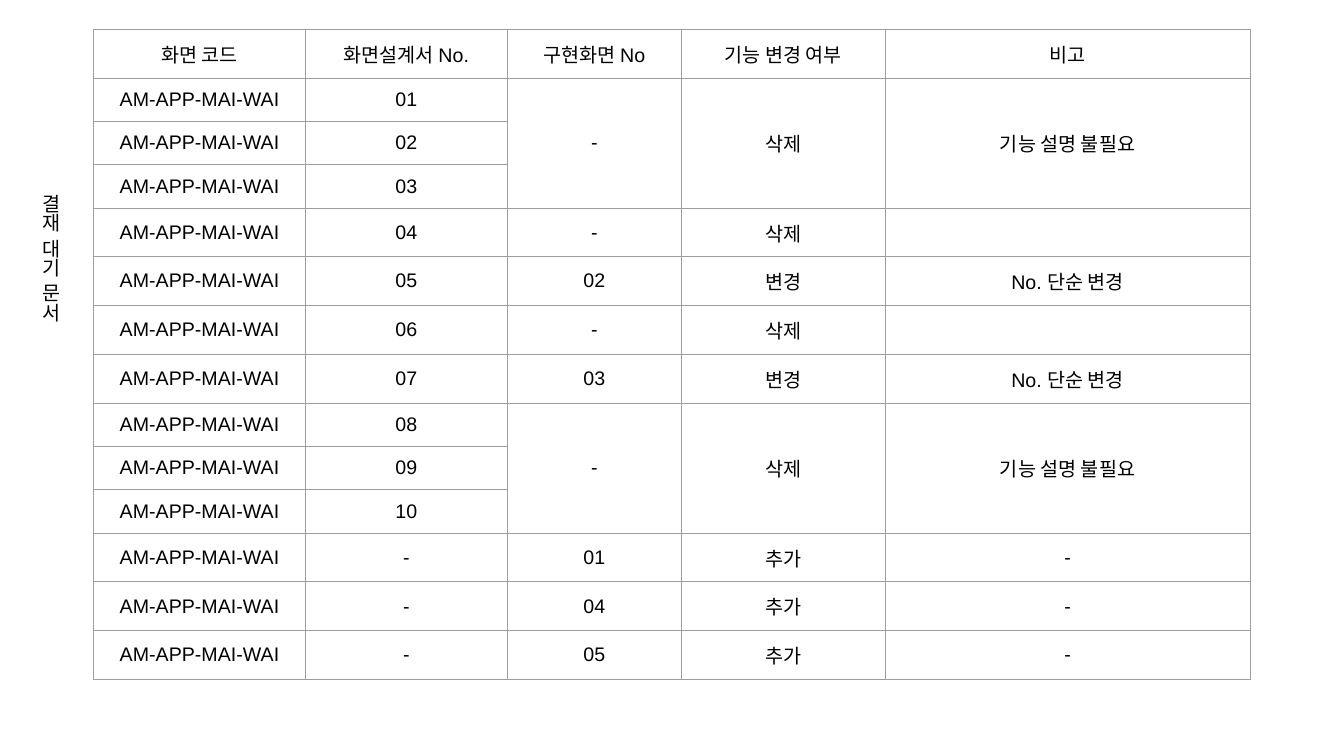
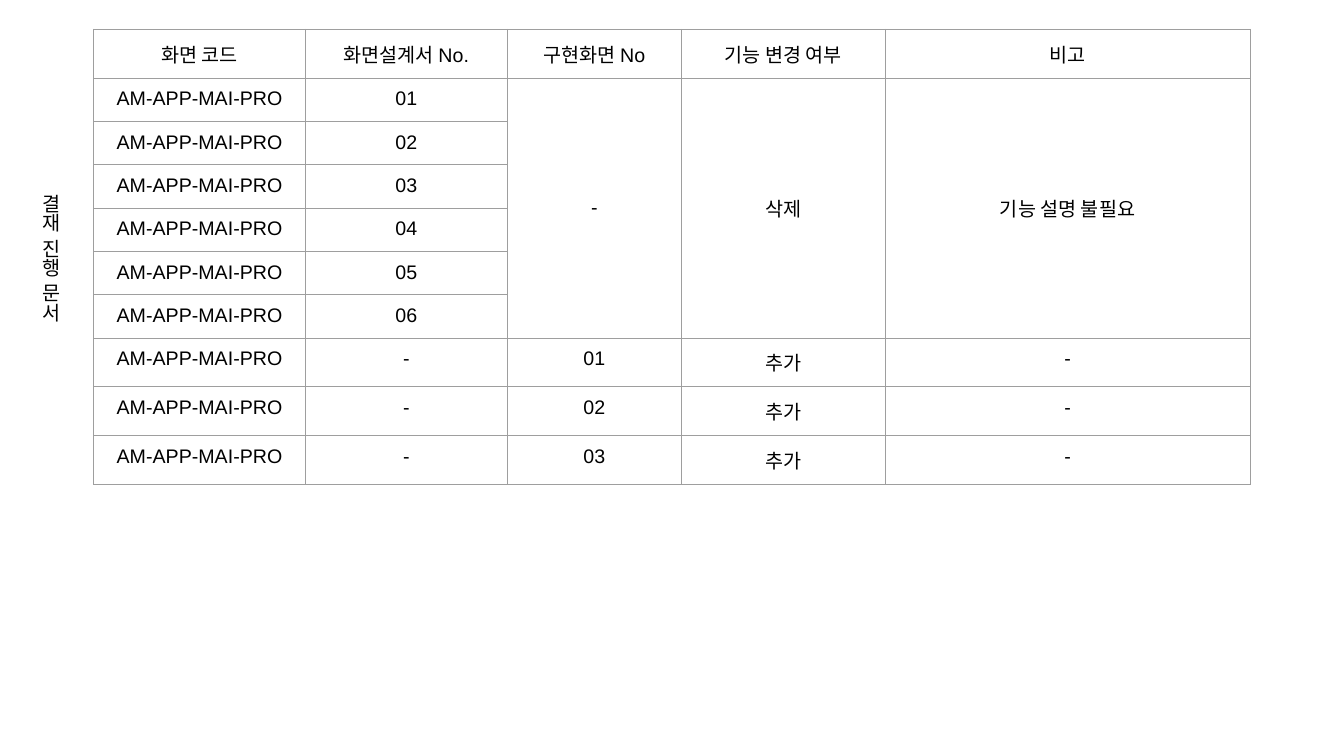
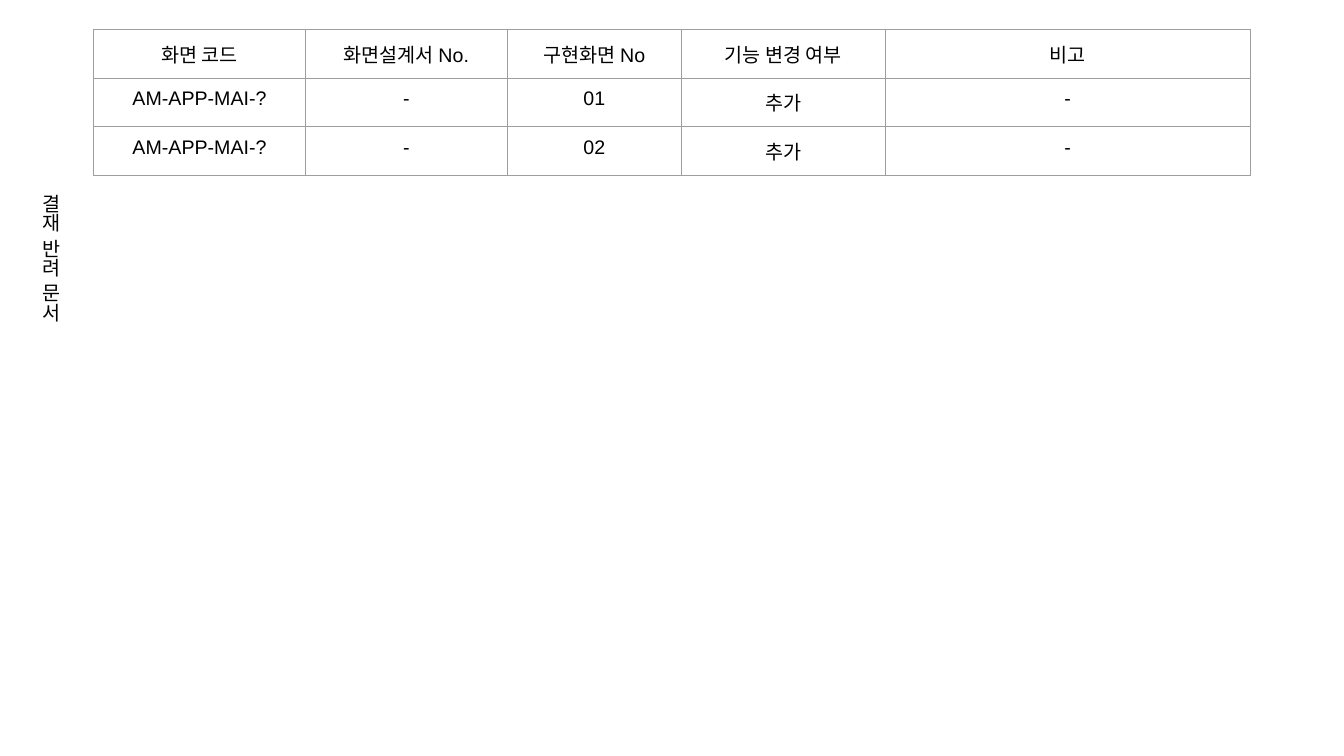
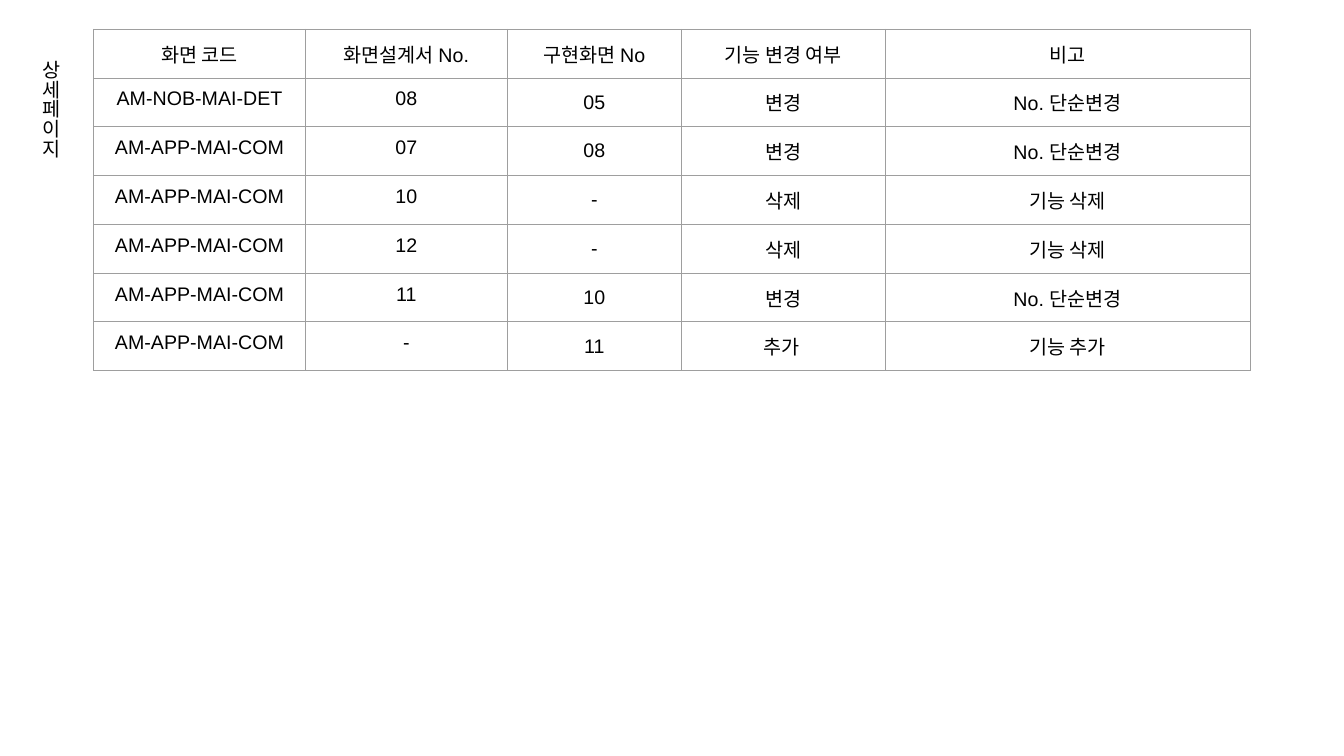
from dataclasses import dataclass

from lxml import etree
from pptx import Presentation
from pptx.dml.color import RGBColor
from pptx.enum.text import MSO_ANCHOR, MSO_AUTO_SIZE, PP_ALIGN
from pptx.oxml.ns import qn
from pptx.util import Inches, Pt

TOP, MIDDLE = MSO_ANCHOR.TOP, MSO_ANCHOR.MIDDLE
LEFT, CENTER = PP_ALIGN.LEFT, PP_ALIGN.CENTER
GROW = MSO_AUTO_SIZE.SHAPE_TO_FIT_TEXT
TITLE_ONLY = 5


@dataclass(frozen=True)
class Theme:
    font: str = "Arial"
    size: int = 14
    text: str = "000000"
    background: str = "FFFFFF"
    border: str = "9E9E9E"
    border_width: float = 0.75


THEME = Theme()

HEADERS = ("화면 코드", "화면설계서 No.", "구현화면 No", "기능 변경 여부", "비고")
COLUMN_WIDTHS = (2.1, 2, 1.73, 2.02, 3.62)
ROW_HEIGHT, MERGED_ROW_HEIGHT = 0.48, 0.43
TABLE_LEFT, TABLE_TOP = 0.93, 0.29
CELL_MARGIN = 0.1
TITLE_BOX = (0.23, 0.55, 0.44, 1.58)
TITLE_MARGIN = 0.05

WAITING, PROGRESS = "AM-APP-MAI-WAI", "AM-APP-MAI-PRO"
REJECTED, COMPLETE = "AM-APP-MAI-?", "AM-APP-MAI-COM"

PAGES = [
    {
        "title": "결재 대기 문서",
        "middle_from": (0, 0),
        "entries": [
            (WAITING, ["01", "02", "03"], "-", "삭제", "기능 설명 불필요"),
            (WAITING, ["04"], "-", "삭제", ""),
            (WAITING, ["05"], "02", "변경", "No. 단순 변경"),
            (WAITING, ["06"], "-", "삭제", ""),
            (WAITING, ["07"], "03", "변경", "No. 단순 변경"),
            (WAITING, ["08", "09", "10"], "-", "삭제", "기능 설명 불필요"),
            (WAITING, ["-"], "01", "추가", "-"),
            (WAITING, ["-"], "04", "추가", "-"),
            (WAITING, ["-"], "05", "추가", "-"),
        ],
    },
    {
        "title": "결재 진행 문서",
        "middle_from": None,
        "entries": [
            (PROGRESS, ["01", "02", "03", "04", "05", "06"], "-", "삭제", "기능 설명 불필요"),
            (PROGRESS, ["-"], "01", "추가", "-"),
            (PROGRESS, ["-"], "02", "추가", "-"),
            (PROGRESS, ["-"], "03", "추가", "-"),
        ],
    },
    {
        "title": "결재 반려 문서",
        "middle_from": None,
        "entries": [
            (REJECTED, ["-"], "01", "추가", "-"),
            (REJECTED, ["-"], "02", "추가", "-"),
        ],
    },
    {
        "title": "상세페이지",
        "middle_from": (1, 2),
        "entries": [
            ("AM-NOB-MAI-DET", ["08"], "05", "변경", "No. 단순변경"),
            (COMPLETE, ["07"], "08", "변경", "No. 단순변경"),
            (COMPLETE, ["10"], "-", "삭제", "기능 삭제"),
            (COMPLETE, ["12"], "-", "삭제", "기능 삭제"),
            (COMPLETE, ["11"], "10", "변경", "No. 단순변경"),
            (COMPLETE, ["-"], "11", "추가 ", "기능 추가"),
        ],
    },
]


def format_paragraph(paragraph, alignment):
    paragraph.alignment = alignment
    font = paragraph.font
    font.size = Pt(THEME.size)
    font.color.rgb = RGBColor.from_string(THEME.text)
    font.name = THEME.font
    if not paragraph.runs:
        end = etree.SubElement(paragraph._p, qn("a:endParaRPr"))
        end.set("sz", str(THEME.size * 100))


def add_borders(cell):
    properties = cell._tc.get_or_add_tcPr()
    for position, side in enumerate(("lnL", "lnR", "lnT", "lnB")):
        line = etree.Element(qn(f"a:{side}"), w=str(Pt(THEME.border_width)))
        fill = etree.SubElement(line, qn("a:solidFill"))
        etree.SubElement(fill, qn("a:srgbClr"), val=THEME.border)
        properties.insert(position, line)


def set_margins(target, margin):
    target.margin_left = target.margin_right = Inches(margin)
    target.margin_top = target.margin_bottom = Inches(margin)


def format_cell(cell, text, anchor):
    cell.text = text
    set_margins(cell, CELL_MARGIN)
    cell.vertical_anchor = anchor
    cell.fill.background()
    add_borders(cell)
    format_paragraph(cell.text_frame.paragraphs[0], CENTER)


def add_title(slide, text):
    title = slide.shapes.title
    title.left, title.top, title.width, title.height = map(Inches, TITLE_BOX)
    frame = title.text_frame
    frame.text = text
    frame.auto_size = GROW
    frame.word_wrap = True
    frame.vertical_anchor = TOP
    set_margins(frame, TITLE_MARGIN)
    frame._txBody.bodyPr.set("vert", "eaVert")
    paragraph = frame.paragraphs[0]
    format_paragraph(paragraph, LEFT)
    defaults = paragraph._p.pPr.find(qn("a:defRPr"))
    etree.SubElement(defaults, qn("a:ea"), typeface=THEME.font)


def add_change_table(slide, entries, middle_from):
    rows, heights, merges = [HEADERS], [ROW_HEIGHT], []
    for code, numbers, *details in entries:
        is_merged = len(numbers) > 1
        if is_merged:
            merges.append((len(rows), len(rows) + len(numbers) - 1))
        for index, number in enumerate(numbers):
            rows.append((code, number, *(details if index == 0 else [""] * 3)))
            heights.append(MERGED_ROW_HEIGHT if is_merged else ROW_HEIGHT)

    frame = slide.shapes.add_table(
        len(rows), len(HEADERS), Inches(TABLE_LEFT), Inches(TABLE_TOP),
        Inches(sum(COLUMN_WIDTHS)), Inches(sum(heights)))
    table = frame.table
    table.first_row = table.horz_banding = False
    for column, width in zip(table.columns, COLUMN_WIDTHS):
        column.width = Inches(width)
    for row_index, (texts, height) in enumerate(zip(rows, heights)):
        table.rows[row_index].height = Inches(height)
        for column_index, text in enumerate(texts):
            is_middle = (middle_from is not None and row_index >= middle_from[0]
                         and column_index >= middle_from[1])
            format_cell(table.cell(row_index, column_index), text,
                        MIDDLE if is_middle else TOP)
    for first, last in merges:
        for column_index in range(2, len(HEADERS)):
            cell = table.cell(first, column_index)
            cell.merge(table.cell(last, column_index))
            cell.vertical_anchor = MIDDLE


def main():
    presentation = Presentation()
    presentation.slide_width = Inches(13.33)
    presentation.slide_height = Inches(7.5)
    background = presentation.slide_master.background.fill
    background.solid()
    background.fore_color.rgb = RGBColor.from_string(THEME.background)
    for page in PAGES:
        slide = presentation.slides.add_slide(presentation.slide_layouts[TITLE_ONLY])
        add_title(slide, page["title"])
        add_change_table(slide, page["entries"], page["middle_from"])
    presentation.save("out.pptx")


if __name__ == "__main__":
    main()
